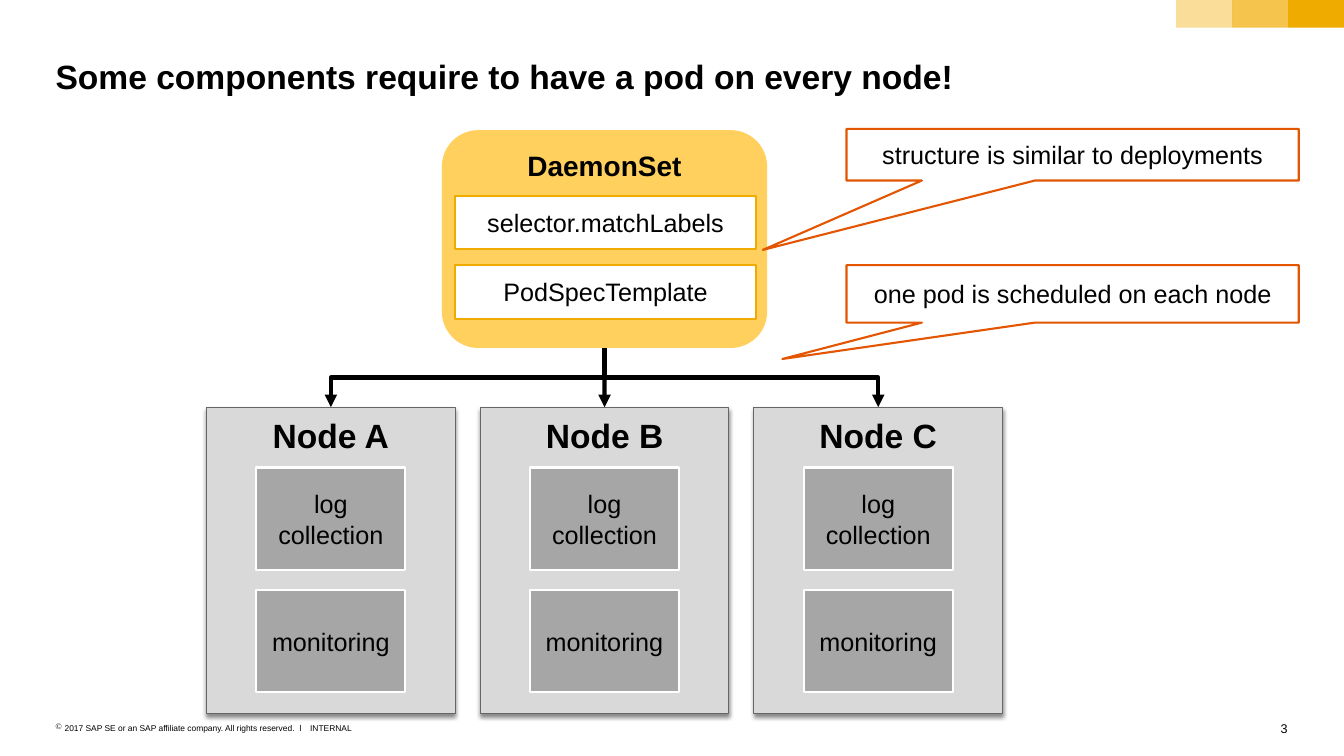
"""Build the DaemonSet slide: one pod of each kind on every node."""
from lxml.etree import SubElement
from pptx import Presentation
from pptx.dml.color import RGBColor
from pptx.enum.shapes import MSO_CONNECTOR, MSO_SHAPE
from pptx.enum.text import MSO_ANCHOR, MSO_AUTO_SIZE, PP_ALIGN
from pptx.oxml.ns import qn
from pptx.util import Cm, Pt

TITLE = "Some components require to have a pod on every node!"
NODES = ["Node A", "Node B", "Node C"]
PODS = [("log collection", 11.78), ("monitoring", 14.86)]
FIELDS = [("selector.matchLabels", 4.93), ("PodSpecTemplate", 6.68)]
CALLS = [
    ("structure is similar to deployments", 3.25, 1.3, (-0.685, 1.845)),
    ("one pod is scheduled on each node", 6.68, 1.45, (-0.642, 1.133)),
]
OWNER = "2017 SAP SE or an SAP affiliate company. All rights reserved.  ǀ"
FOOTER = [
    (OWNER, 1.4, 18.21, 6.3, 6, PP_ALIGN.LEFT),
    ("INTERNAL", 7.82, 18.21, 1.1, 6, PP_ALIGN.LEFT),
    ("3", 32.06, 18.16, 0.4, 9, PP_ALIGN.RIGHT),
]
ALPHAS = [40, 70, 100]
COLORS = {
    "ink": "000000", "white": "FFFFFF", "gold": "F0AB00", "sun": "FFD05D",
    "node": "D9D9D9", "edge": "666666", "pod": "A6A6A6", "call": "E35500",
}
WIDE, HIGH = 33.88, 19.05
MID, PITCH = 15.24, 6.9
SET_TOP, SET_HIGH = 3.28, 5.49
NODE_TOP, NODE_WIDE, NODE_HIGH = 10.26, 6.27, 7.72
POD_WIDE, POD_HIGH = 3.76, 2.59
TAB_WIDE, TAB_HIGH = 1.41, 0.7


def color(name):
    return RGBColor.from_string(COLORS[name])


def write(frame, text, size, bold=False, align=PP_ALIGN.CENTER):
    frame.text = text
    para = frame.paragraphs[0]
    para.alignment = align
    font = para.font
    font.name, font.size, font.bold = "Arial", Pt(size), bold
    font.color.rgb = color("ink")
    return para


def pad(frame, side, end):
    frame.margin_left = frame.margin_right = Cm(side)
    frame.margin_top = frame.margin_bottom = Cm(end)


def box(kind, left, top, wide, high, fill, line=None, width=1.5):
    shape = slide.shapes.add_shape(kind, Cm(left), Cm(top), Cm(wide), Cm(high))
    shape.shadow.inherit = False
    shape.fill.solid()
    shape.fill.fore_color.rgb = color(fill)
    if line:
        shape.line.color.rgb = color(line)
        shape.line.width = Pt(width)
    else:
        shape.line.fill.background()
    return shape


def label(shape, text, size=18, bold=False, anchor=MSO_ANCHOR.MIDDLE):
    frame = shape.text_frame
    frame.word_wrap = True
    frame.vertical_anchor = anchor
    pad(frame, 0.25, 0.2)
    write(frame, text, size, bold)


def shade(shape):
    effects = shape._element.spPr.find(qn("a:effectLst"))
    outer = SubElement(effects, qn("a:outerShdw"), blurRad=str(Pt(3)),
                       dist=str(Pt(2.4)), dir="5400000", rotWithShape="0")
    tint = SubElement(outer, qn("a:srgbClr"), val=COLORS["ink"])
    SubElement(tint, qn("a:alpha"), val="45000")


def arrow(kind, x1, y1, x2, y2):
    link = slide.shapes.add_connector(kind, Cm(x1), Cm(y1), Cm(x2), Cm(y2))
    link.line.color.rgb = color("ink")
    link.line.width = Pt(3)
    SubElement(link.line._get_or_add_ln(), qn("a:tailEnd"), type="triangle")
    SubElement(link._element.spPr, qn("a:effectLst"))
    return link


def branch(side):
    """Draw a bent arrow, turned so that it leaves downwards."""
    start = SET_TOP + SET_HIGH
    drop = (NODE_TOP - start) / 2
    x, y = MID + side * PITCH / 2, start + drop
    link = arrow(MSO_CONNECTOR.ELBOW, x + side * drop, y - PITCH / 2,
                 x - side * drop, y + PITCH / 2)
    link.rotation = 180 + side * 90


deck = Presentation()
deck.slide_width, deck.slide_height = Cm(WIDE), Cm(HIGH)
slide = deck.slides.add_slide(deck.slide_layouts[5])

for i, alpha in enumerate(ALPHAS):
    left = WIDE - (len(ALPHAS) - i) * TAB_WIDE
    tab = box(MSO_SHAPE.RECTANGLE, left, 0, TAB_WIDE, TAB_HIGH, "gold")
    if alpha < 100:
        tint = tab._element.spPr.find(qn("a:solidFill"))[0]
        SubElement(tint, qn("a:alpha"), val=str(alpha * 1000))

title = slide.shapes.title
title.left, title.top, title.width, title.height = Cm(1.4), Cm(1.4), Cm(31.06), Cm(1.02)
head = title.text_frame
pad(head, 0, 0)
head.word_wrap = True
head.auto_size = MSO_AUTO_SIZE.NONE
head.vertical_anchor = MSO_ANCHOR.TOP
write(head, TITLE, 24, True, PP_ALIGN.LEFT)

nodes = []
for i, name in enumerate(NODES):
    x = MID + (i - 1) * PITCH
    node = box(MSO_SHAPE.RECTANGLE, x - NODE_WIDE / 2, NODE_TOP,
               NODE_WIDE, NODE_HIGH, "node", "edge", 0.79)
    shade(node)
    label(node, name, 24, True, MSO_ANCHOR.TOP)
    nodes.append(node)
    for text, top in PODS:
        pod = box(MSO_SHAPE.RECTANGLE, x - POD_WIDE / 2, top,
                  POD_WIDE, POD_HIGH, "pod", "white")
        label(pod, text)

daemon = box(MSO_SHAPE.ROUNDED_RECTANGLE, MID - 4.1, SET_TOP, 8.2, SET_HIGH, "sun")
label(daemon, "DaemonSet", 20, True, MSO_ANCHOR.TOP)
for text, top in FIELDS:
    label(box(MSO_SHAPE.RECTANGLE, 11.48, top, 7.57, 1.35, "white", "gold"), text)

branch(-1)
branch(1)
stem = arrow(MSO_CONNECTOR.STRAIGHT, MID, SET_TOP + SET_HIGH, MID, NODE_TOP)
stem.begin_connect(daemon, 2)
stem.end_connect(nodes[1], 0)

for text, top, high, tip in CALLS:
    call = box(MSO_SHAPE.RECTANGULAR_CALLOUT, 21.34, top, 11.4, high, "white", "call")
    call.adjustments[0], call.adjustments[1] = tip
    label(call, text)

for text, left, top, wide, size, align in FOOTER:
    note = slide.shapes.add_textbox(Cm(left), Cm(top), Cm(wide), Cm(size * 0.042))
    frame = note.text_frame
    pad(frame, 0, 0)
    frame.word_wrap = text == OWNER
    para = write(frame, text, size, align=align)
    if text == OWNER:
        props = para._p.get_or_add_pPr()
        props.set("marL", str(Cm(0.23)))
        props.set("indent", str(-Cm(0.23)))
        mark = props.makeelement(qn("a:buChar"), {"char": "©"})
        props.insert(0, mark)

deck.save("out.pptx")
